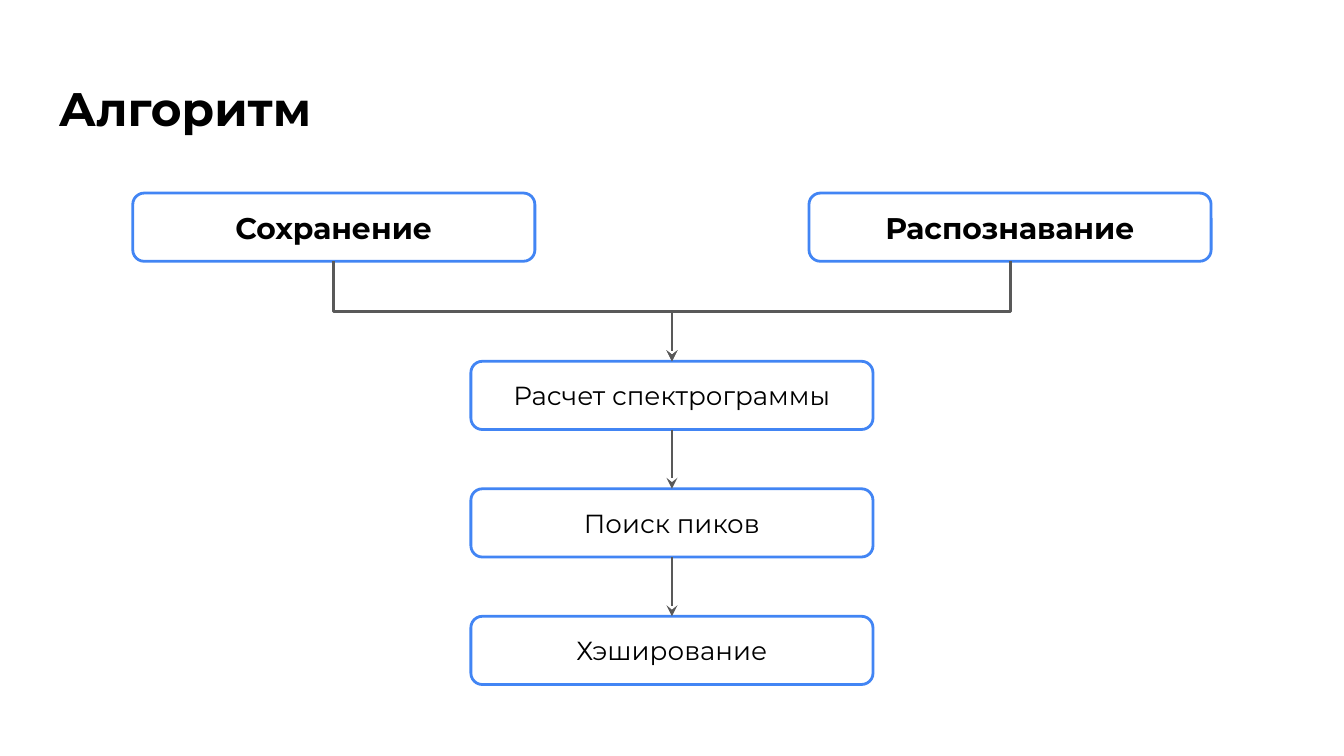
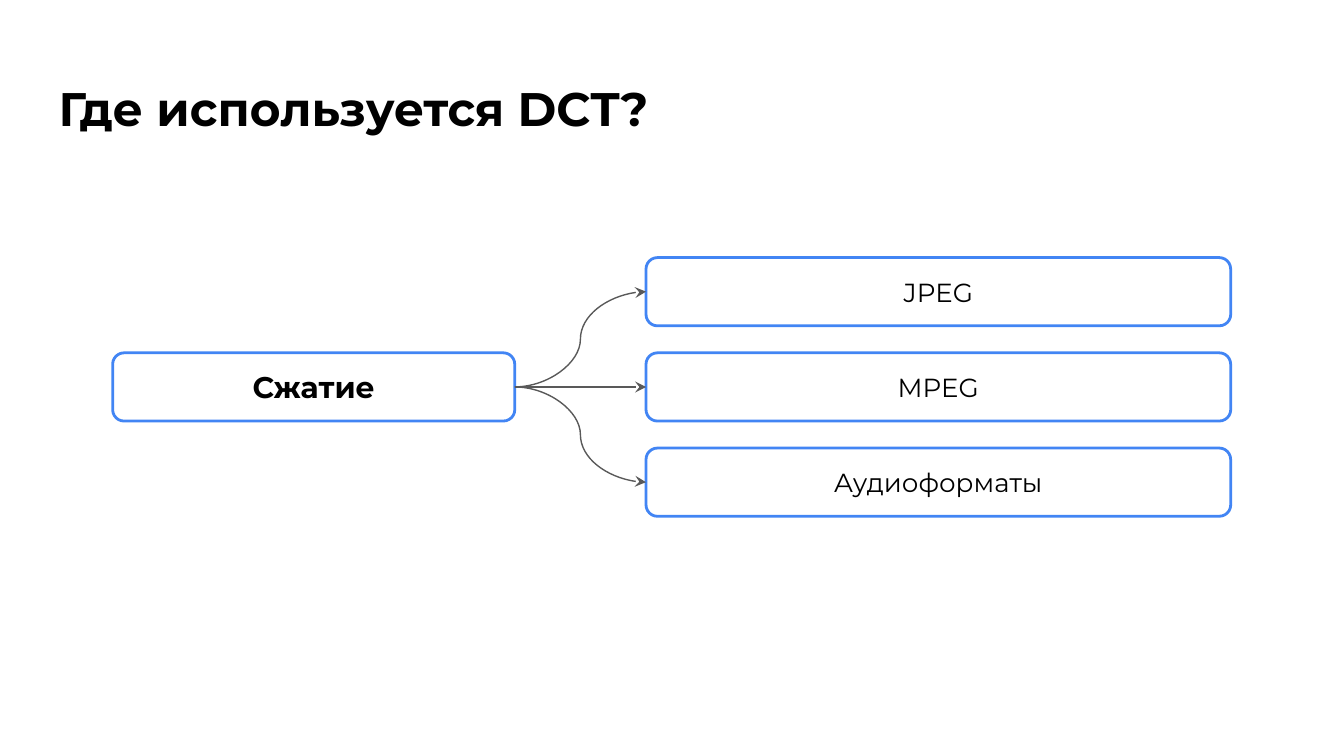
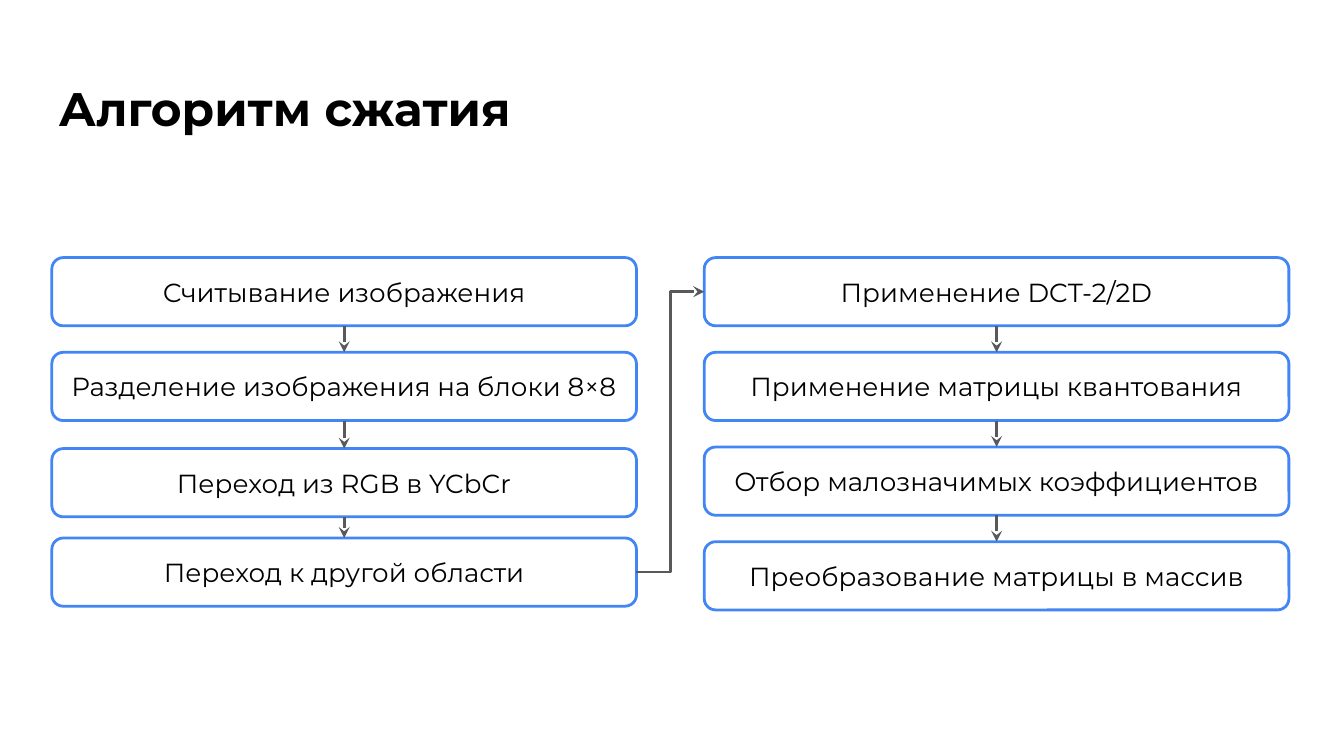
from pptx import Presentation
from pptx.dml.color import RGBColor
from pptx.enum.shapes import MSO_CONNECTOR, MSO_SHAPE
from pptx.enum.text import MSO_ANCHOR, MSO_AUTO_SIZE, PP_ALIGN
from pptx.oxml.ns import qn
from pptx.util import Cm, Pt
from lxml import etree

ROUNDED = MSO_SHAPE.ROUNDED_RECTANGLE
STRAIGHT, ELBOW, CURVE = MSO_CONNECTOR.STRAIGHT, MSO_CONNECTOR.ELBOW, MSO_CONNECTOR.CURVE
TOP, LEFT, BOTTOM, RIGHT = range(4)  # connection sites of a box

COLORS = {"text": "000000", "fill": "FFFFFF", "border": "4285F4", "arrow": "595959"}
FONT = "Montserrat"
TITLE = {"size": Pt(25.2), "bold": True}
HEADING = {"size": Pt(16), "bold": True}
STEP = {"size": Pt(14), "bold": False}

# Lengths in centimetres
SLIDE_W, SLIDE_H = 25.4, 14.29
TITLE_BOX = (0.86, 1.25, 23.67, 1.6)
INSET = 0.25
BOX_H, NARROW, WIDE = 1.29, 7.6, 11.05
LIST_TOP, LIST_PITCH = 4.87, 1.79

SEARCH = {
    "title": "Алгоритм",
    "modes": ["Сохранение", "Распознавание"],
    "steps": ["Расчет спектрограммы", "Поиск пиков", "Хэширование"],
}
USES = {
    "title": "Где используется DCT?",
    "topic": "Сжатие",
    "formats": ["JPEG", "MPEG", "Аудиоформаты"],
}
COMPRESSION = {
    "title": "Алгоритм сжатия",
    "prepare": [
        ("Считывание изображения", 4.87),
        ("Разделение изображения на блоки 8×8", 6.66),
        ("Переход из RGB в YCbCr", 8.48),
        ("Переход к другой области", 10.17),
    ],
    "transform": [
        "Применение DCT-2/2D",
        "Применение матрицы квантования",
        "Отбор малозначимых коэффициентов",
        "Преобразование матрицы в массив",
    ],
}


def rgb(name):
    return RGBColor.from_string(COLORS[name])


def write(shape, text, style, align, anchor):
    tf = shape.text_frame
    frame = {"word_wrap": True, "auto_size": MSO_AUTO_SIZE.NONE, "vertical_anchor": anchor}
    for side in ("left", "top", "right", "bottom"):
        frame[f"margin_{side}"] = Cm(INSET)
    for key, value in frame.items():
        setattr(tf, key, value)
    p = tf.paragraphs[0]
    p.alignment = align
    r = p.add_run()
    r.text = text
    for key, value in {"name": FONT, **style}.items():
        setattr(r.font, key, value)
    r.font.color.rgb = rgb("text")


def add_slide(prs, title):
    s = prs.slides.add_slide(prs.slide_layouts[5])
    sp = s.shapes.title
    sp.left, sp.top, sp.width, sp.height = map(Cm, TITLE_BOX)
    write(sp, title, TITLE, PP_ALIGN.LEFT, MSO_ANCHOR.TOP)
    return s


def add_box(s, text, x, y, width, style=STEP):
    sp = s.shapes.add_shape(ROUNDED, Cm(x), Cm(y), Cm(width), Cm(BOX_H))
    sp.shadow.inherit = False
    sp.fill.solid()
    sp.fill.fore_color.rgb = rgb("fill")
    sp.line.color.rgb = rgb("border")
    sp.line.width = Pt(1.5)
    write(sp, text, style, PP_ALIGN.CENTER, MSO_ANCHOR.MIDDLE)
    return sp


def add_column(s, texts, x, top, pitch, width):
    return [add_box(s, text, x, top + i * pitch, width) for i, text in enumerate(texts)]


def turn_downward(cx):
    """Rotate an elbow so that it leaves and arrives vertically."""
    dx, dy = cx.end_x - cx.begin_x, cx.end_y - cx.begin_y
    mid_x, mid_y = (cx.begin_x + cx.end_x) // 2, (cx.begin_y + cx.end_y) // 2
    cx.left, cx.top = mid_x - dy // 2, mid_y - abs(dx) // 2
    cx.width, cx.height = dy, abs(dx)
    xfrm = cx._element.spPr.xfrm
    xfrm.flipH, xfrm.flipV = dx > 0, False
    xfrm.rot = 270 if dx > 0 else 90


def add_arrow(s, start, end, kind=STRAIGHT, sites=(BOTTOM, TOP), weight=1.5):
    cx = s.shapes.add_connector(kind, start.left, start.top, end.left, end.top)
    cx.begin_connect(start, sites[0])
    cx.end_connect(end, sites[1])
    if kind == ELBOW and sites == (BOTTOM, TOP):
        turn_downward(cx)
    cx.line.color.rgb = rgb("arrow")
    cx.line.width = Pt(weight)
    etree.SubElement(cx.line._get_or_add_ln(), qn("a:tailEnd"), type="stealth")
    etree.SubElement(cx._element.spPr, qn("a:effectLst"))


def chain(s, boxes):
    for start, end in zip(boxes, boxes[1:]):
        add_arrow(s, start, end)


def search_slide(prs):
    s = add_slide(prs, SEARCH["title"])
    margin = 2.51
    steps = add_column(s, SEARCH["steps"], (SLIDE_W - NARROW) / 2, 6.83, 2.41, NARROW)
    for text, x in zip(SEARCH["modes"], (margin, SLIDE_W - margin - NARROW)):
        mode = add_box(s, text, x, 3.65, NARROW, HEADING)
        add_arrow(s, mode, steps[0], ELBOW)
    chain(s, steps)


def uses_slide(prs):
    s = add_slide(prs, USES["title"])
    formats = add_column(s, USES["formats"], 12.21, LIST_TOP, 1.8, WIDE)
    topic = add_box(s, USES["topic"], 2.13, LIST_TOP + 1.8, NARROW, HEADING)
    for target, kind in zip(formats, (CURVE, STRAIGHT, CURVE)):
        add_arrow(s, topic, target, kind, (RIGHT, LEFT), 0.75)


def compression_slide(prs):
    s = add_slide(prs, COMPRESSION["title"])
    prepare = [add_box(s, text, 0.98, y, WIDE) for text, y in COMPRESSION["prepare"]]
    transform = add_column(s, COMPRESSION["transform"], 13.31, LIST_TOP, LIST_PITCH, WIDE)
    chain(s, prepare)
    chain(s, transform)
    add_arrow(s, prepare[-1], transform[0], ELBOW, (RIGHT, LEFT))


def main():
    prs = Presentation()
    prs.slide_width, prs.slide_height = Cm(SLIDE_W), Cm(SLIDE_H)
    for build in (search_slide, uses_slide, compression_slide):
        build(prs)
    prs.save("out.pptx")


if __name__ == "__main__":
    main()
